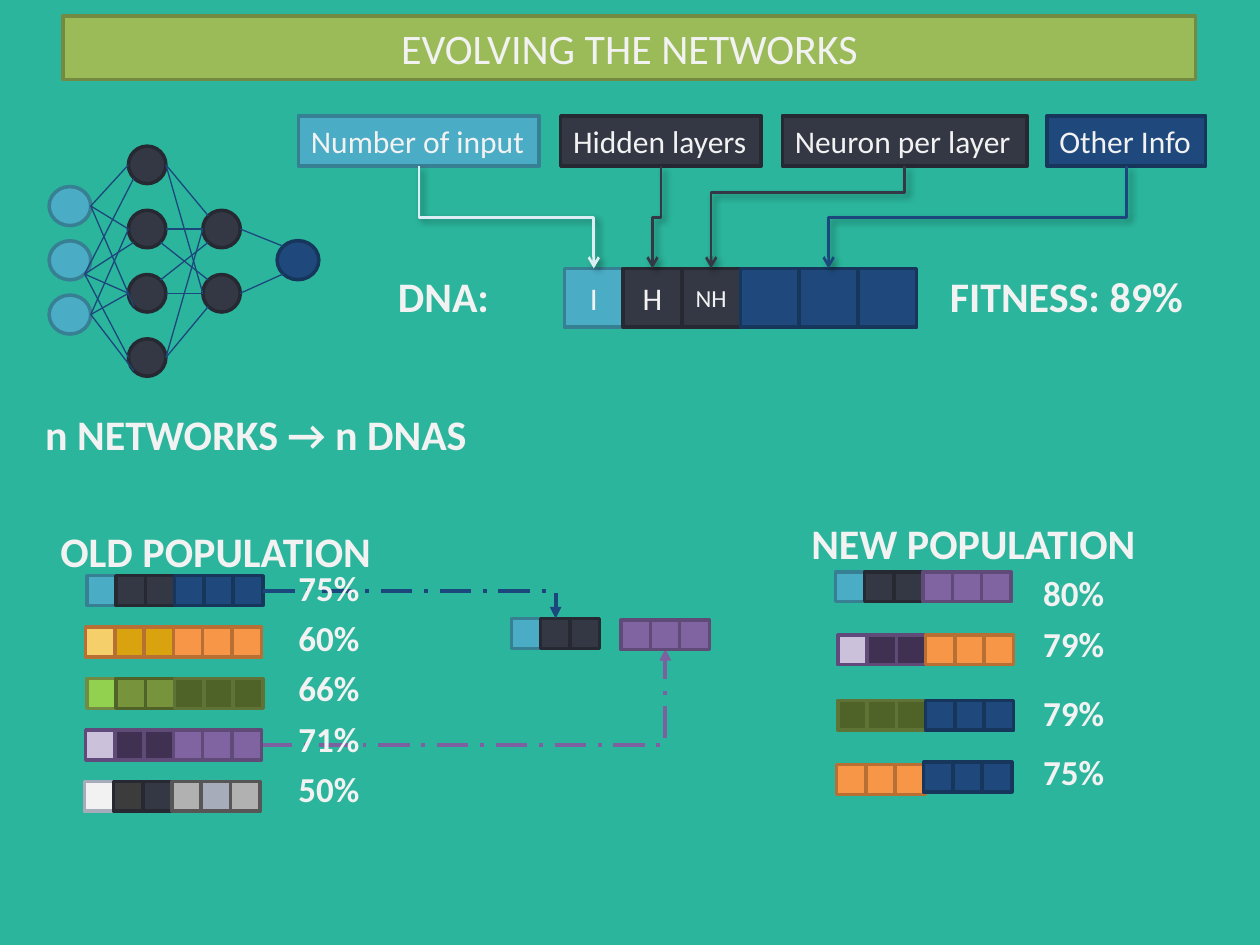
from dataclasses import dataclass
from math import cos, radians, sin
from typing import NamedTuple

from lxml.etree import SubElement
from pptx import Presentation
from pptx.dml.color import RGBColor
from pptx.enum.dml import MSO_LINE as Dash
from pptx.enum.shapes import MSO_CONNECTOR as Link, MSO_SHAPE as Kind
from pptx.enum.text import MSO_ANCHOR as Anchor, MSO_AUTO_SIZE as Fit, PP_ALIGN as Align
from pptx.oxml.ns import qn
from pptx.util import Pt


class Swatch(NamedTuple):
    fill: str
    edge: str


@dataclass(frozen=True)
class Theme:
    font: str = "Calibri"
    heading: int = 24
    percent: int = 20
    label: int = 18
    small: int = 14
    outline: float = 2
    ground: str = "2BB59C"
    text: str = "F2F2F2"
    link: str = "1C477D"
    pale_link: str = "DBEEF4"
    violet_link: str = "7D60A0"
    leaf: Swatch = Swatch("9BBB59", "738A42")
    sky: Swatch = Swatch("4BACC6", "377F92")
    coal: Swatch = Swatch("343844", "262932")
    navy: Swatch = Swatch("1F497D", "17365C")
    sand: Swatch = Swatch("F4CF6A", "B76F34")
    gold: Swatch = Swatch("D9A310", "B76F34")
    orange: Swatch = Swatch("F79646", "B76F34")
    lime: Swatch = Swatch("92D050", "738A42")
    olive: Swatch = Swatch("77933C", "4F6228")
    moss: Swatch = Swatch("4F6228", "5E7335")
    lilac: Swatch = Swatch("CCC1DA", "604A7B")
    plum: Swatch = Swatch("403152", "5F4A78")
    violet: Swatch = Swatch("8064A2", "5F4A78")
    white: Swatch = Swatch("F2F2F2", "A7ACBB")
    soot: Swatch = Swatch("3C3C3C", "262932")
    ash: Swatch = Swatch("B1B1B1", "565656")
    steel: Swatch = Swatch("A7ACBB", "565656")


T = Theme()


class Box(NamedTuple):
    left: float
    top: float
    width: float
    height: float


class Strand(NamedTuple):
    left: float
    top: float
    genes: list[Swatch]


class Pointer(NamedTuple):
    text: str
    left: float
    width: float
    swatch: Swatch
    gene: int
    color: str
    bend: float


class Neuron(NamedTuple):
    box: Box
    swatch: Swatch

    def site(self, angle: float) -> tuple[float, float]:
        """Point on the rim; 0 is right and angles run clockwise."""
        left, top, width, height = self.box
        return (left + width / 2 * (1 + cos(radians(angle))),
                top + height / 2 * (1 + sin(radians(angle))))


def write(shape, text: str, size: float, bold: bool = False, align: Align = Align.LEFT) -> None:
    para = shape.text_frame.paragraphs[0]
    para.alignment = align
    span = para.add_run()
    span.text = text
    span.font.name, span.font.size, span.font.bold = T.font, Pt(size), bold
    span.font.color.rgb = RGBColor.from_string(T.text)


def add_box(page, box: Box, swatch: Swatch, kind: Kind = Kind.RECTANGLE):
    shape = page.shapes.add_shape(kind, *map(Pt, box))
    shape.shadow.inherit = False
    shape.fill.solid()
    shape.fill.fore_color.rgb = RGBColor.from_string(swatch.fill)
    shape.line.color.rgb = RGBColor.from_string(swatch.edge)
    shape.line.width = Pt(T.outline)
    return shape


def add_text(page, box: Box, text: str, size: float) -> None:
    shape = page.shapes.add_textbox(*map(Pt, box))
    shape.text_frame.word_wrap = True
    shape.text_frame.auto_size = Fit.SHAPE_TO_FIT_TEXT
    write(shape, text, size, bold=True)


def add_strand(page, strand: Strand, pitch: float, size: float) -> list:
    return [add_box(page, Box(strand.left + i * pitch, strand.top, size, size), gene)
            for i, gene in enumerate(strand.genes)]


def add_line(page, start, end, color: str, width: float, kind: Link = Link.STRAIGHT,
             dash=None, tail: str = ""):
    line = page.shapes.add_connector(kind, *map(Pt, (*start, *end)))
    line.line.color.rgb = RGBColor.from_string(color)
    line.line.width = Pt(width)
    if dash:
        line.line.dash_style = dash
    if tail:
        SubElement(line.line._get_or_add_ln(), qn("a:tailEnd"), type=tail)
    SubElement(line._element.spPr, qn("a:effectLst"))
    return line


def add_corner(page, start, end, color: str) -> None:
    """Dash-dotted arrow that runs sideways, then turns once."""
    line = add_line(page, start, end, color, 2.25, Link.ELBOW, Dash.LONG_DASH_DOT, "triangle")
    line._element.spPr.find(qn("a:prstGeom")).set("prst", "bentConnector2")


def add_drop(page, start, end, color: str, bend: float) -> None:
    """Shadowed arrow that runs down, sideways and down again."""
    (x1, y1), (x2, y2) = start, end
    mid_x, mid_y = (x1 + x2) / 2, (y1 + y2) / 2
    half_w, half_h = (y2 - y1) / 2, abs(x2 - x1) / 2
    line = add_line(page, (mid_x - half_w, mid_y - half_h), (mid_x + half_w, mid_y + half_h),
                    color, 1.5, Link.ELBOW, tail="arrow")
    props = line._element.spPr
    frame = props.find(qn("a:xfrm"))
    frame.set("rot", str((270 if x2 > x1 else 90) * 60000))
    if x2 > x1:
        frame.set("flipH", "1")
    SubElement(props.find(qn("a:prstGeom")).find(qn("a:avLst")), qn("a:gd"),
               name="adj1", fmla=f"val {round(bend * 100000)}")
    shadow = SubElement(props.find(qn("a:effectLst")), qn("a:outerShdw"), blurRad=str(Pt(4)),
                        dist=str(Pt(3)), dir=str(45 * 60000), rotWithShape="0")
    SubElement(SubElement(shadow, qn("a:srgbClr"), val="000000"), qn("a:alpha"), val="40000")


def add_network(page) -> None:
    wide, tall, small = 23.8, 22.3, 21.4
    layers = {
        "in": [Neuron(Box(28.1, 106.6 + 31 * i, wide, tall), T.sky) for i in range(3)],
        "a": [Neuron(Box(73.4, 83.5 + 36.7 * i, small, small), T.coal) for i in range(4)],
        "b": [Neuron(Box(115.9, 120.2 + 36.7 * i, small, small), T.coal) for i in range(2)],
        "out": [Neuron(Box(158.4, 137.5, wide, tall), T.navy)],
    }
    for layer in layers.values():
        for neuron in layer:
            add_box(page, neuron.box, neuron.swatch, Kind.OVAL)
    # Layer pair, then start neuron, start angle, end neuron, end angle
    links = {
        ("in", "a"): [(0, 0, 1, 180), (1, 45, 1, 135), (0, 0, 0, 180), (2, 0, 3, 135),
                      (1, 45, 0, 135), (0, 0, 2, 135), (1, 45, 3, 180), (2, 0, 2, 180),
                      (2, 0, 1, 180), (1, 45, 2, 180)],
        ("a", "b"): [(0, 0, 0, 225), (1, 0, 0, 180), (2, 0, 1, 180), (3, 0, 1, 135),
                     (2, 315, 0, 135), (1, 45, 1, 225), (0, 0, 1, 180), (3, 0, 0, 180)],
        ("b", "out"): [(0, 0, 0, 225), (1, 0, 0, 135)],
    }
    for (source, target), ends in links.items():
        for i, leave, j, arrive in ends:
            add_line(page, layers[source][i].site(leave), layers[target][j].site(arrive),
                     T.link, 0.75)


def add_dna(page) -> None:
    left, top, pitch = 322.5, 153.4, 33.55
    cells = add_strand(page, Strand(left, top, [T.sky] + [T.coal] * 2 + [T.navy] * 3), pitch, 33.6)
    for cell, (text, size) in zip(cells, [("I", T.label), ("H", T.label), ("NH", T.small)]):
        cell.text_frame.vertical_anchor = Anchor.MIDDLE
        write(cell, text, size, align=Align.CENTER)
    add_text(page, Box(220.3, 151.2, 77, 36), "DNA:", T.heading)
    add_text(page, Box(535.7, 151.2, 164.2, 65.5), "FITNESS: 89%", T.heading)

    label_top, label_height = 66.2, 28.8
    for item in (Pointer("Number of input", 170.6, 137.5, T.sky, 0, T.pale_link, 0.5),
                 Pointer("Hidden layers", 320.4, 114.5, T.coal, 1, T.coal.fill, 0.5),
                 Pointer("Neuron per layer", 447.1, 139.7, T.coal, 2, T.coal.fill, 0.26),
                 Pointer("Other Info", 598.3, 90.7, T.navy, 4, T.link, 0.5)):
        label = add_box(page, Box(item.left, label_top, item.width, label_height), item.swatch)
        label.text_frame.word_wrap = False
        label.text_frame.auto_size = Fit.SHAPE_TO_FIT_TEXT
        write(label, item.text, T.label)
        add_drop(page, (item.left + item.width / 2, label_top + label_height),
                 (left + (item.gene + 0.5) * pitch, top), item.color, item.bend)


def add_populations(page) -> None:
    add_corner(page, (149, 425.5), (380.2, 370.8), T.violet_link)
    old = [(49.7, [T.sky] + [T.coal] * 2 + [T.navy] * 3),
           (49, [T.sand] + [T.gold] * 2 + [T.orange] * 3),
           (49.7, [T.lime] + [T.olive] * 2 + [T.moss] * 3),
           (49, [T.lilac] + [T.plum] * 2 + [T.violet] * 3),
           (48.2, [T.white, T.soot, T.coal, T.ash, T.steel, T.ash])]
    strands = [Strand(left, 329 + 29.4 * i, genes) for i, (left, genes) in enumerate(old)]
    # Halves being crossed, then the new population
    strands += [Strand(292.3, 353.5, [T.sky] + [T.coal] * 2),
                Strand(355, 354.2, [T.violet] * 3),
                Strand(477.4, 326.9, [T.sky] + [T.coal] * 2 + [T.violet] * 3),
                Strand(478.8, 362.9, [T.lilac] + [T.plum] * 2 + [T.orange] * 3),
                Strand(478.8, 400.3, [T.moss] * 3 + [T.navy] * 3),
                Strand(478.1, 437, [T.orange] * 3),
                Strand(527.8, 435.6, [T.navy] * 3)]
    for strand in strands:
        add_strand(page, strand, 16.7, 17)
    add_corner(page, (150.5, 337.7), (317.5, 353.5), T.link)

    # Fitness of each strand
    scores = [(163.4, 320.4 + 28.6 * i, text)
              for i, text in enumerate(("75%", "60%", "66%", "71%", "50%"))]
    scores += [(589, 323.3, "80%"), (589, 352.1, "79%"), (589, 391.7, "79%"), (589, 425.5, "75%")]
    for left, top, text in scores:
        add_text(page, Box(left, top, 99.4, 31.7), text, T.percent)
    add_text(page, Box(27.4, 296.6, 197.3, 36), "OLD POPULATION", T.heading)
    add_text(page, Box(456.5, 292.3, 215.3, 36), "NEW POPULATION", T.heading)


def main() -> None:
    deck = Presentation()
    deck.slide_width, deck.slide_height = Pt(720), Pt(540)
    page = deck.slides.add_slide(deck.slide_layouts[6])
    page.background.fill.solid()
    page.background.fill.fore_color.rgb = RGBColor.from_string(T.ground)

    title = add_box(page, Box(36, 9.2, 647.3, 36.2), T.leaf)
    write(title, "EVOLVING THE NETWORKS", T.heading, align=Align.CENTER)
    add_network(page)
    add_dna(page)
    add_text(page, Box(18.7, 229.7, 272.9, 36), "n NETWORKS → n DNAS", T.heading)
    add_populations(page)
    deck.save("out.pptx")


if __name__ == "__main__":
    main()
